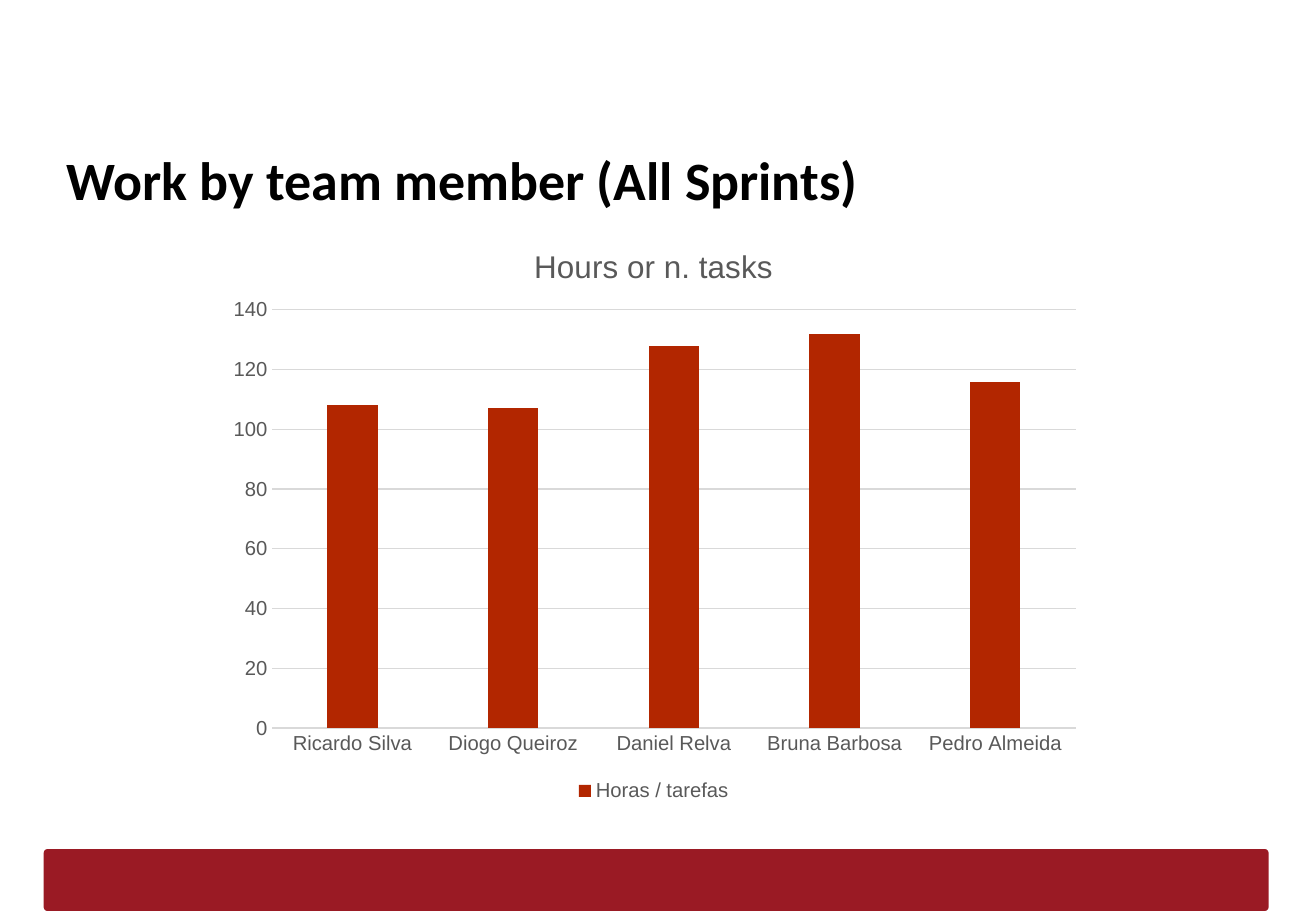
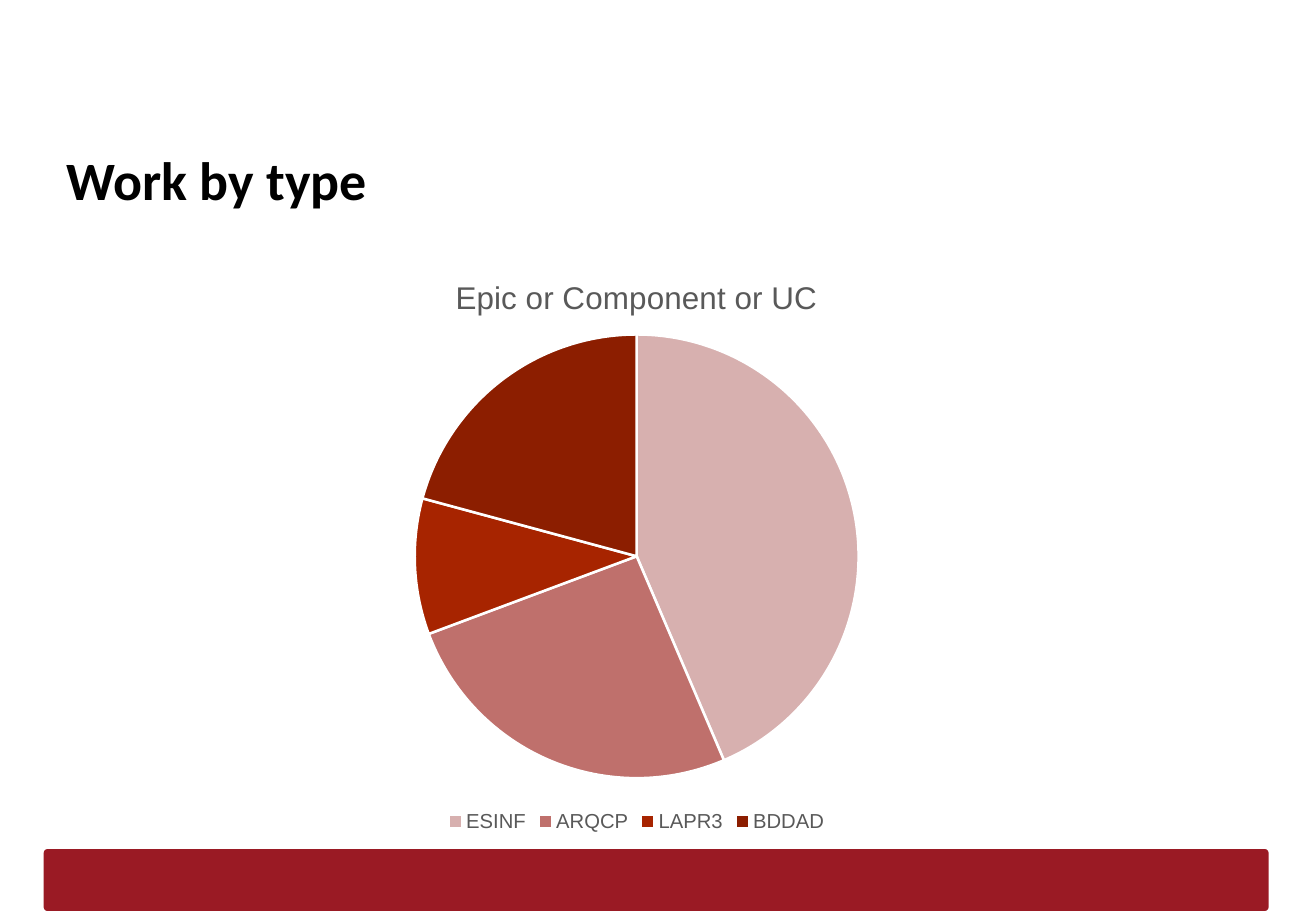
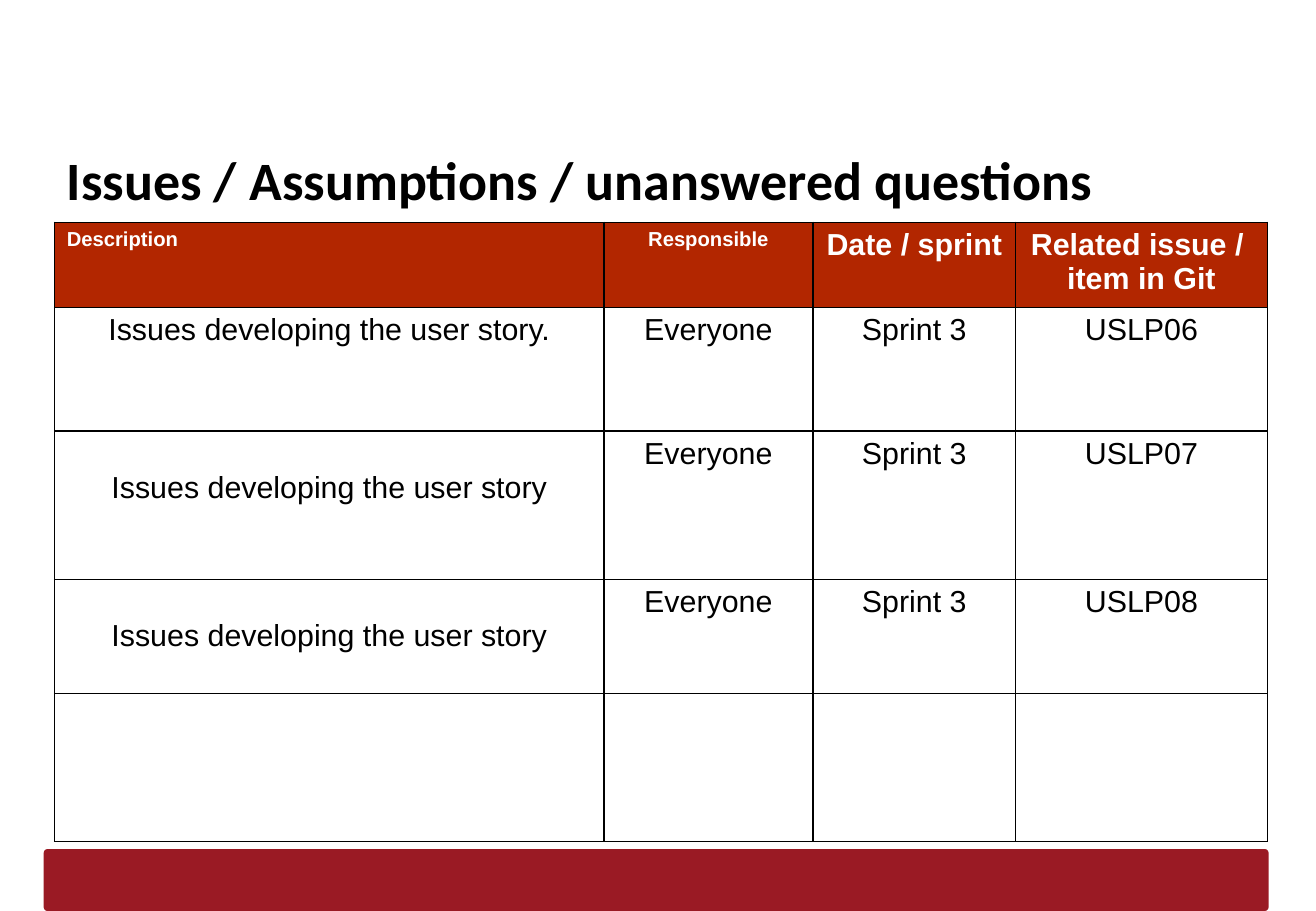
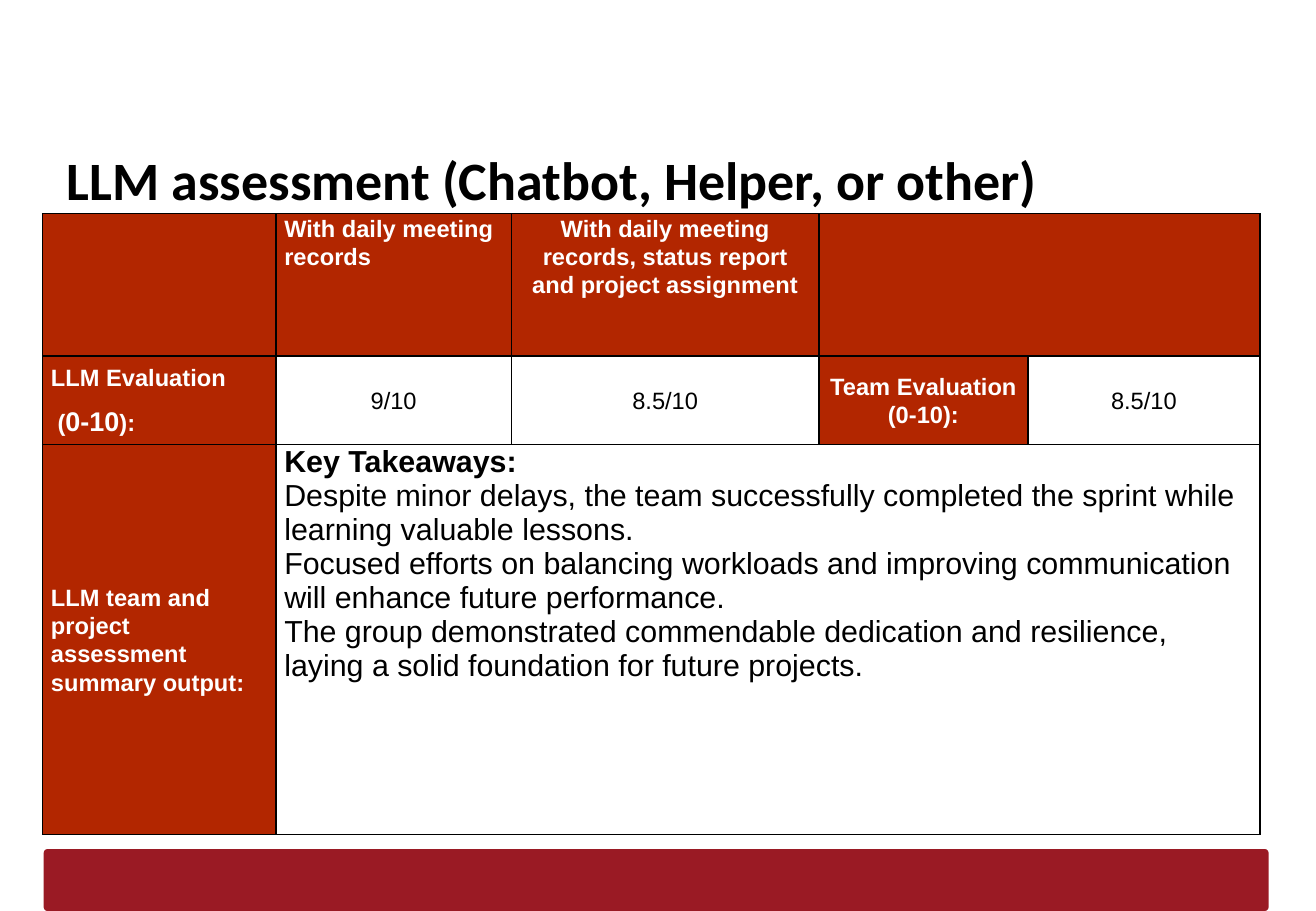
from lxml.etree import SubElement
from pptx import Presentation
from pptx.chart.data import CategoryChartData
from pptx.dml.color import RGBColor
from pptx.enum.chart import XL_CHART_TYPE, XL_LEGEND_POSITION, XL_TICK_MARK
from pptx.enum.shapes import MSO_SHAPE
from pptx.enum.text import MSO_ANCHOR, PP_ALIGN
from pptx.oxml import parse_xml
from pptx.oxml.ns import nsdecls, qn
from pptx.util import Inches, Pt

# Shared look
COLORS = {
    "band": "9A1A24", "accent": "B22600", "black": "000000", "white": "FFFFFF",
    "label": "595959", "grid": "D9D9D9",
}
PIE_COLORS = ["D7B0AF", "BF706C", "A72400", "8C1E00"]
TITLE = {"size": Pt(32), "name": "Calibri", "bold": True, "color": "black"}
HEAD = {"size": Pt(14), "name": "Arial", "bold": True, "color": "white"}
SMALL_HEAD = {**HEAD, "size": Pt(12)}
LARGE_HEAD = {**HEAD, "size": Pt(18)}
BODY = {"size": Pt(18), "name": "Arial", "bold": False, "color": "black"}
BODY_BOLD = {**BODY, "bold": True}
SCORE = {**BODY, "size": Pt(14)}
CHART_TITLE = {"size": Pt(18.6), "name": "Arial", "bold": False, "color": "label"}
CHART_LABEL = {**CHART_TITLE, "size": Pt(12)}

# Paragraph and cell formats
CENTER = {"alignment": PP_ALIGN.CENTER}
TIGHT = {"line_spacing": 1.07}
SPACED = {**TIGHT, "space_after": Pt(8)}
NARROW = {"margin_left": Inches(0.07), "margin_right": Inches(0.07),
          "margin_top": 0, "margin_bottom": 0}
MIDDLE = {**NARROW, "vertical_anchor": MSO_ANCHOR.MIDDLE}
LOWERED = {"margin_top": Inches(0.33)}


def rgb(name):
    return RGBColor.from_string(COLORS.get(name, name))


def apply(target, values):
    for name, value in values.items():
        setattr(target, name, value)


def style_font(font, style):
    apply(font, {key: value for key, value in style.items() if key != "color"})
    font.color.rgb = rgb(style["color"])


def paint(fill, color):
    fill.solid()
    fill.fore_color.rgb = rgb(color)


def write(frame, paragraphs, style, layout):
    """Each paragraph is a string or a list of (text, style) runs."""
    for index, content in enumerate(paragraphs):
        paragraph = frame.add_paragraph() if index else frame.paragraphs[0]
        apply(paragraph, layout)
        runs = [(content, style)] if isinstance(content, str) else content
        for text, run_style in runs:
            run = paragraph.add_run()
            run.text = text
            style_font(run.font, run_style)


def start_slide(prs, heading):
    slide = prs.slides.add_slide(prs.slide_layouts[6])
    # Bottom band
    band = slide.shapes.add_shape(MSO_SHAPE.ROUNDED_RECTANGLE, Inches(0.36), Inches(6.99),
                                  Inches(10.08), Inches(0.51))
    band.shadow.inherit = False
    band.adjustments[0] = 0.06
    paint(band.fill, "band")
    band.line.fill.background()
    # Heading
    frame = slide.shapes.add_textbox(Inches(0.45), Inches(1.09),
                                     Inches(9.89), Inches(0.63)).text_frame
    apply(frame, {"word_wrap": True, "margin_left": Inches(0.1), "margin_right": Inches(0.1),
                  "margin_top": Inches(0.12), "margin_bottom": 0})
    write(frame, [heading], TITLE, {})
    return slide


# Charts
def place_plot(chart, x, y, w, h):
    plot_area = chart._chartSpace.chart.plotArea
    for layout in plot_area.findall(qn("c:layout")):
        plot_area.remove(layout)
    sizes = "".join(f'<c:{tag} val="{value}"/>' for tag, value in zip("xywh", (x, y, w, h)))
    plot_area.insert(0, parse_xml(
        f'<c:layout {nsdecls("c")}><c:manualLayout><c:layoutTarget val="inner"/>'
        f'<c:xMode val="edge"/><c:yMode val="edge"/>{sizes}</c:manualLayout></c:layout>'))


def add_chart(slide, kind, left, top, heading, series_name, values, plot_box):
    data = CategoryChartData()
    data.categories = list(values)
    data.add_series(series_name, list(values.values()))
    chart = slide.shapes.add_chart(kind, Inches(left), Inches(top),
                                   Inches(7.22), Inches(4.81), data).chart
    style_font(chart.font, CHART_LABEL)
    chart.has_title = True
    write(chart.chart_title.text_frame, [heading], CHART_TITLE, {})
    chart.chart_title.include_in_layout = False
    chart.has_legend = True
    apply(chart.legend, {"position": XL_LEGEND_POSITION.BOTTOM, "include_in_layout": False})
    style_font(chart.legend.font, CHART_LABEL)
    place_plot(chart, *plot_box)
    return chart


def style_columns(chart):
    plot = chart.plots[0]
    apply(plot, {"gap_width": 219, "overlap": -27, "vary_by_categories": False})
    paint(plot.series[0].format.fill, "accent")
    for axis in (chart.category_axis, chart.value_axis):
        apply(axis, {"major_tick_mark": XL_TICK_MARK.NONE, "minor_tick_mark": XL_TICK_MARK.NONE})
        style_font(axis.tick_labels.font, CHART_LABEL)
    apply(chart.value_axis, {"minimum_scale": 0, "maximum_scale": 140, "major_unit": 20})
    chart.value_axis.format.line.fill.background()
    for line in (chart.category_axis.format.line, chart.value_axis.major_gridlines.format.line):
        line.width = Pt(0.75)
        line.color.rgb = rgb("grid")


def style_slices(chart):
    plot = chart.plots[0]
    plot.vary_by_categories = True
    for index, color in enumerate(PIE_COLORS):
        slice_format = plot.series[0].points[index].format
        paint(slice_format.fill, color)
        slice_format.line.width = Pt(1.5)
        slice_format.line.color.rgb = rgb("white")


# Tables
def add_borders(cell):
    properties = cell._tc.get_or_add_tcPr()
    for index, side in enumerate(("lnL", "lnR", "lnT", "lnB")):
        border = SubElement(properties, qn(f"a:{side}"), w=str(Pt(1)))
        fill = SubElement(border, qn("a:solidFill"))
        SubElement(fill, qn("a:srgbClr"), val=COLORS["black"])
        properties.insert(index, border)


def add_table(slide, left, top, widths, heights):
    table = slide.shapes.add_table(len(heights), len(widths), Inches(left), Inches(top),
                                   Inches(sum(widths)), Inches(sum(heights))).table
    for column, width in zip(table.columns, widths):
        column.width = Inches(width)
    for row, height in zip(table.rows, heights):
        row.height = Inches(height)
    for cell in table.iter_cells():
        paint(cell.fill, "white")
        add_borders(cell)
    return table


def fill_cell(cell, paragraphs, style=BODY, layout=CENTER, box=None, fill="white"):
    paint(cell.fill, fill)
    apply(cell, box or {})
    write(cell.text_frame, paragraphs, style, layout)


def add_issues(slide):
    table = add_table(slide, 0.45, 1.83, [4.52, 1.72, 1.67, 2.07],
                      [0.69, 1.02, 1.22, 0.94, 1.22])
    headings = [
        (["Description"], SMALL_HEAD, {}),
        (["Responsible"], SMALL_HEAD, CENTER),
        (["Date / sprint"], LARGE_HEAD, CENTER),
        (["Related issue / ", "item in Git"], LARGE_HEAD, CENTER),
    ]
    for column, (lines, style, layout) in enumerate(headings):
        fill_cell(table.cell(0, column), lines, style, layout, fill="accent")
    issues = [
        ("Issues developing the user story.", "USLP06", {}),
        ("Issues developing the user story", "USLP07", LOWERED),
        ("Issues developing the user story", "USLP08", LOWERED),
    ]
    for row, (description, story, box) in enumerate(issues, 1):
        fill_cell(table.cell(row, 0), [description], box=box)
        for column, text in enumerate(("Everyone", "Sprint 3", story), 1):
            fill_cell(table.cell(row, column), [text])


def add_assessment(slide):
    table = add_table(slide, 0.35, 1.76, [1.92, 1.94, 2.53, 1.72, 1.91], [1.17, 0.73, 3.21])
    table.cell(0, 3).merge(table.cell(0, 4))
    table.cell(2, 1).merge(table.cell(2, 4))

    # Headings: row, column, lines, paragraph format, cell format
    large = {**HEAD, "size": Pt(16)}
    headings = [
        (0, 0, [], {}, NARROW),
        (0, 1, ["With daily meeting records"], SPACED, NARROW),
        (0, 2, ["With daily meeting records, status report and project assignment"],
         {**SPACED, **CENTER}, NARROW),
        (0, 3, [], {}, NARROW),
        (1, 0, ["LLM Evaluation", [(" (", HEAD), ("0-10", large), ("):", HEAD)]],
         SPACED, MIDDLE),
        (1, 3, ["Team Evaluation", "(0-10):"], {**TIGHT, **CENTER}, MIDDLE),
        (2, 0, ["LLM team and project assessment summary output:"], SPACED, MIDDLE),
    ]
    for row, column, lines, layout, box in headings:
        fill_cell(table.cell(row, column), lines, HEAD, layout, box, "accent")

    # Scores
    for column, score in {1: "9/10", 2: "8.5/10", 4: "8.5/10"}.items():
        fill_cell(table.cell(1, column), [score], SCORE, {**TIGHT, **CENTER}, MIDDLE)

    # Summary
    fill_cell(table.cell(2, 1), [
        [("Key Takeaways:", BODY_BOLD)],
        "Despite minor delays, the team successfully completed the sprint while learning "
        "valuable lessons.",
        "Focused efforts on balancing workloads and improving communication will enhance "
        "future performance.",
        "The group demonstrated commendable dedication and resilience, laying a solid "
        "foundation for future projects.",
    ], layout={}, box=NARROW)


def main():
    prs = Presentation()
    apply(prs, {"slide_width": Inches(10.83), "slide_height": Inches(7.5)})

    hours = {"Ricardo Silva": 108, "Diogo Queiroz": 107, "Daniel Relva": 128,
             "Bruna Barbosa": 132, "Pedro Almeida": 116}
    slide = start_slide(prs, "Work by team member (All Sprints)")
    style_columns(add_chart(slide, XL_CHART_TYPE.COLUMN_CLUSTERED, 1.77, 1.83,
                            "Hours or n. tasks", "Horas / tarefas", hours,
                            (0.065, 0.15, 0.916, 0.716)))

    shares = {"ESINF": 44, "ARQCP": 26, "LAPR3": 10, "BDDAD": 21}
    slide = start_slide(prs, "Work by type")
    style_slices(add_chart(slide, XL_CHART_TYPE.PIE, 1.63, 2.08,
                           "Epic or Component or UC", "Series 1", shares,
                           (0.247, 0.14, 0.506, 0.76)))

    add_issues(start_slide(prs, "Issues / Assumptions / unanswered questions"))
    add_assessment(start_slide(prs, "LLM assessment (Chatbot, Helper, or other)"))
    prs.save("out.pptx")


if __name__ == "__main__":
    main()
